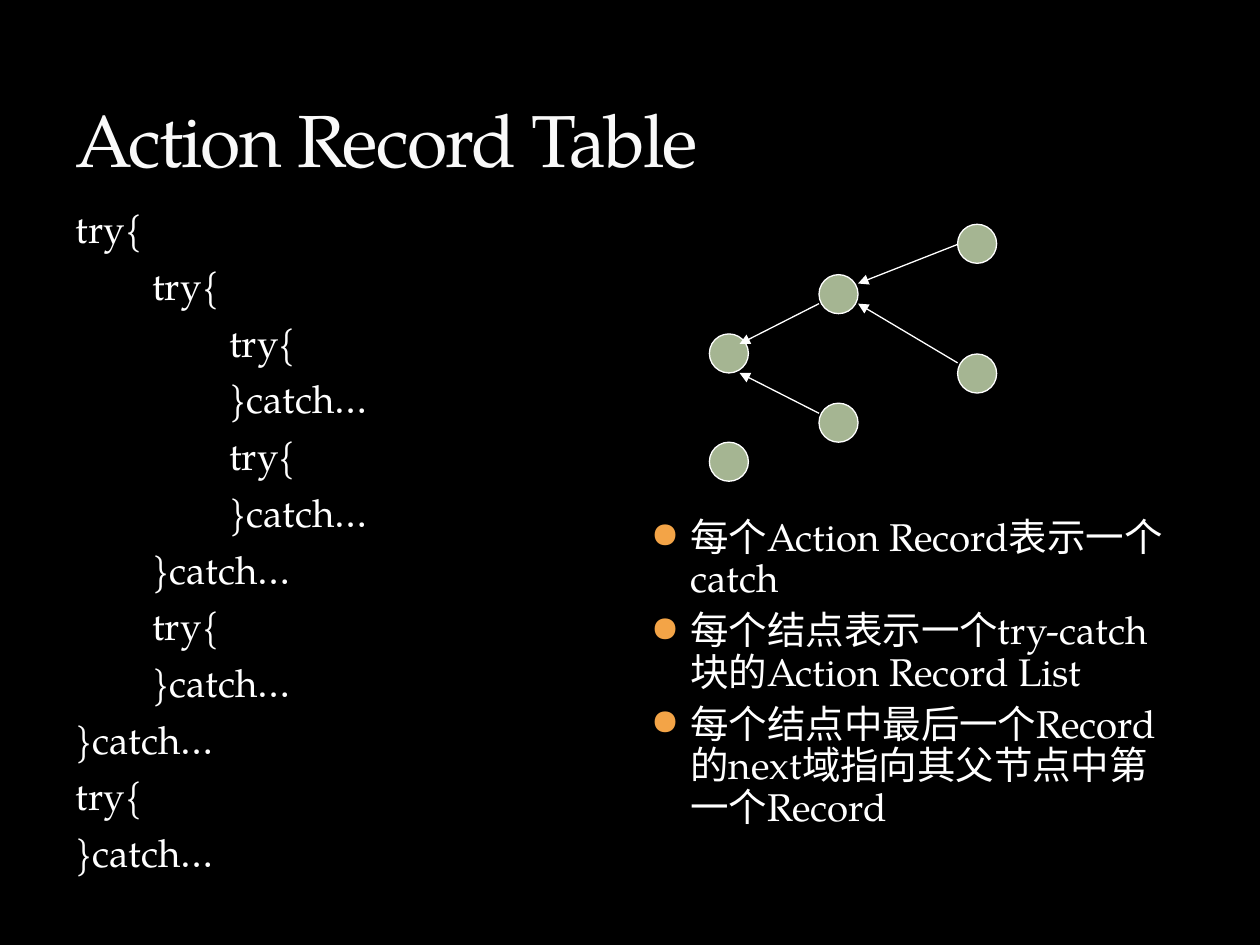
from pptx import Presentation
from pptx.dml.color import RGBColor
from pptx.enum.shapes import MSO_CONNECTOR, MSO_SHAPE
from pptx.enum.text import MSO_ANCHOR, MSO_AUTO_SIZE, PP_ALIGN
from pptx.oxml import parse_xml
from pptx.oxml.ns import nsdecls
from pptx.util import Inches, Pt

COLORS = {"background": "000000", "title": "F9F9F9", "text": "FFFFFF",
          "bullet": "F3A447", "node": "A5B592", "line": "FFFFFF"}
FONT = "TeX Gyre Pagella"
NODE_SIZE = 0.31
CODE_STEP = 0.61

# Nesting level and text of each code line
CODE = [(0, "try{"), (1, "try{"), (2, "try{"), (2, "}catch…"),
        (2, "try{"), (2, "}catch…"), (1, "}catch…"), (1, "try{"),
        (1, "}catch…"), (0, "}catch…"), (0, "try{"), (0, "}catch…")]
NOTES = ["每个Action Record表示一个catch",
         "每个结点表示一个try-catch块的Action Record List",
         "每个结点中最后一个Record的next域指向其父节点中第一个Record"]
NODES = [(5.63, 2.65), (6.5, 2.18), (6.5, 3.2),
         (5.63, 3.51), (7.6, 1.78), (7.6, 2.81)]
ARROWS = [((7.6, 1.94), (6.81, 2.25)), ((7.6, 2.88), (6.81, 2.41)),
          ((6.5, 3.28), (5.87, 2.96)), ((6.5, 2.41), (5.87, 2.73))]


def color(name):
    return RGBColor.from_string(COLORS[name])


def place(box, left, top, width, height):
    box.left, box.top = Inches(left), Inches(top)
    box.width, box.height = Inches(width), Inches(height)
    box.text_frame.word_wrap = True
    box.text_frame.auto_size = MSO_AUTO_SIZE.NONE


def format_runs(paragraph, size, color_name):
    paragraph.alignment = PP_ALIGN.LEFT
    for span in paragraph.runs:
        span.font.name = FONT
        span.font.size = Pt(size)
        span.font.color.rgb = color(color_name)


def set_indent(paragraph, left, first):
    properties = paragraph._p.get_or_add_pPr()
    properties.set("marL", str(Inches(left)))
    properties.set("indent", str(Inches(first)))
    return properties


def add_bullet(properties):
    for xml in (f'<a:buClr {nsdecls("a")}><a:srgbClr val="{COLORS["bullet"]}"/></a:buClr>',
                f'<a:buSzPct {nsdecls("a")} val="85000"/>',
                f'<a:buFont {nsdecls("a")} typeface="{FONT}"/>',
                f'<a:buChar {nsdecls("a")} char="●"/>'):
        properties.append(parse_xml(xml))


def fill_title(box):
    place(box, 0.5, 0.17, 9, 1.33)
    box.text_frame.text = "Action Record Table"
    box.text_frame.vertical_anchor = MSO_ANCHOR.BOTTOM
    paragraph = box.text_frame.paragraphs[0]
    format_runs(paragraph, 42, "title")
    paragraph.runs[0].font._element.set("spc", "-100")


def fill_code(box):
    place(box, 0.5, 1.58, 4.42, 5.12)
    box.text_frame.text = "\n".join(text for level, text in CODE)
    for paragraph, (level, text) in zip(box.text_frame.paragraphs, CODE):
        paragraph.space_before = Pt(6)
        format_runs(paragraph, 22, "text")
        properties = set_indent(paragraph, CODE_STEP * level, 0)
        properties.append(parse_xml(f'<a:buNone {nsdecls("a")}/>'))


def fill_notes(box):
    place(box, 5.08, 1.58, 4.42, 5.12)
    # The inset leaves room for the tree
    box.text_frame.margin_top = Inches(2.53)
    box.text_frame.text = "\n".join(NOTES)
    for paragraph in box.text_frame.paragraphs:
        paragraph.space_before = Pt(6)
        paragraph.line_spacing = 0.9
        format_runs(paragraph, 22, "text")
        add_bullet(set_indent(paragraph, 0.3, -0.3))


def add_node(page, left, top):
    node = page.shapes.add_shape(MSO_SHAPE.OVAL, Inches(left), Inches(top),
                                 Inches(NODE_SIZE), Inches(NODE_SIZE))
    node.shadow.inherit = False
    node.fill.solid()
    node.fill.fore_color.rgb = color("node")
    node.line.color.rgb = color("line")
    node.line.width = Pt(0.75)


def add_arrow(page, start, end):
    arrow = page.shapes.add_connector(
        MSO_CONNECTOR.STRAIGHT, *(Inches(value) for value in start + end))
    arrow.line.color.rgb = color("line")
    arrow.line.width = Pt(0.75)
    arrow.line._get_or_add_ln().append(
        parse_xml(f'<a:tailEnd {nsdecls("a")} type="triangle"/>'))
    arrow._element.spPr.append(parse_xml(f'<a:effectLst {nsdecls("a")}/>'))


def main():
    deck = Presentation()
    deck.slide_width, deck.slide_height = Inches(10), Inches(7.5)
    page = deck.slides.add_slide(deck.slide_layouts[3])
    page.background.fill.solid()
    page.background.fill.fore_color.rgb = color("background")

    # Title, code and notes
    fill_title(page.shapes.title)
    fill_code(page.placeholders[1])
    fill_notes(page.placeholders[2])

    # Tree of action records
    for left, top in NODES:
        add_node(page, left, top)
    for start, end in ARROWS:
        add_arrow(page, start, end)

    deck.save("out.pptx")


main()
